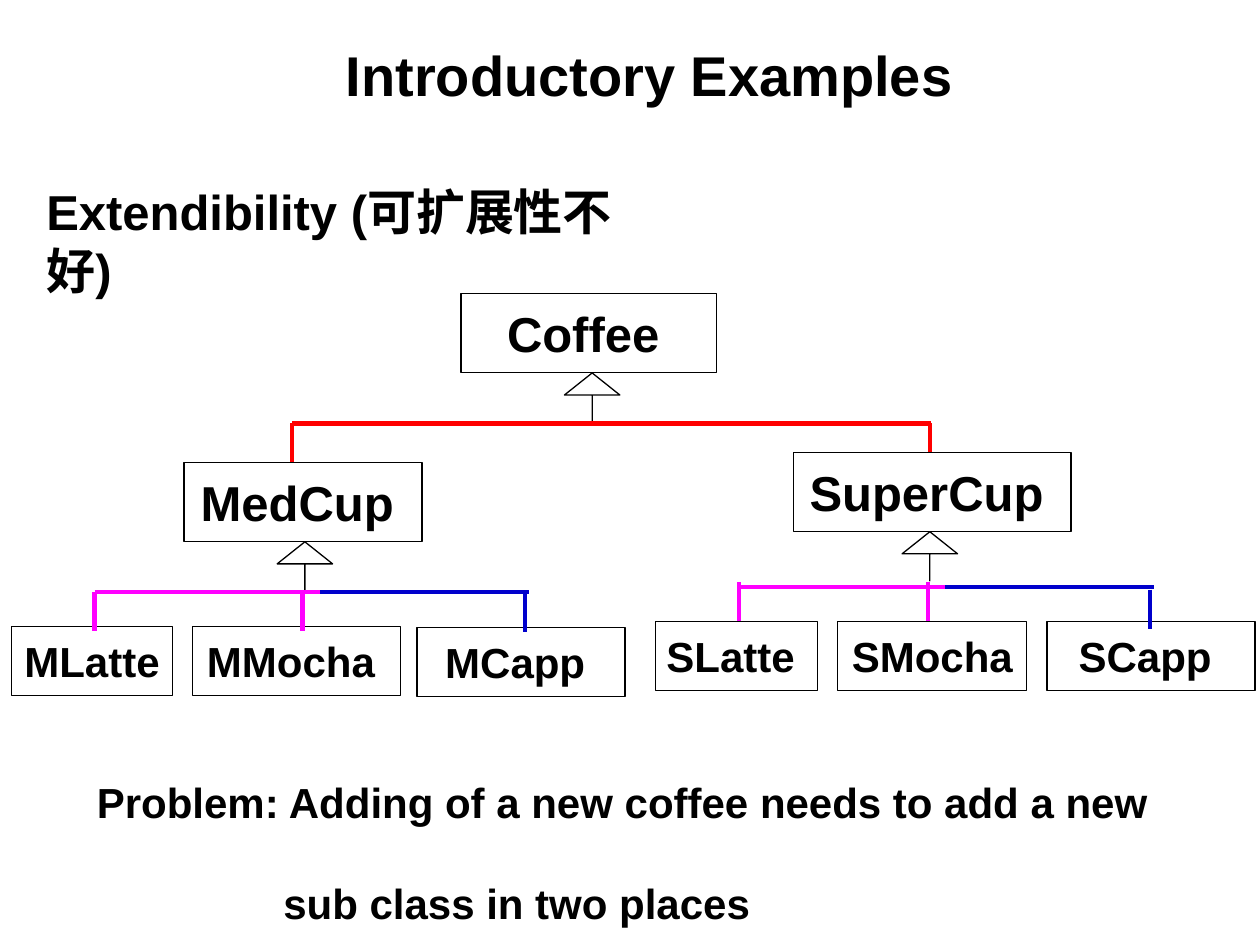
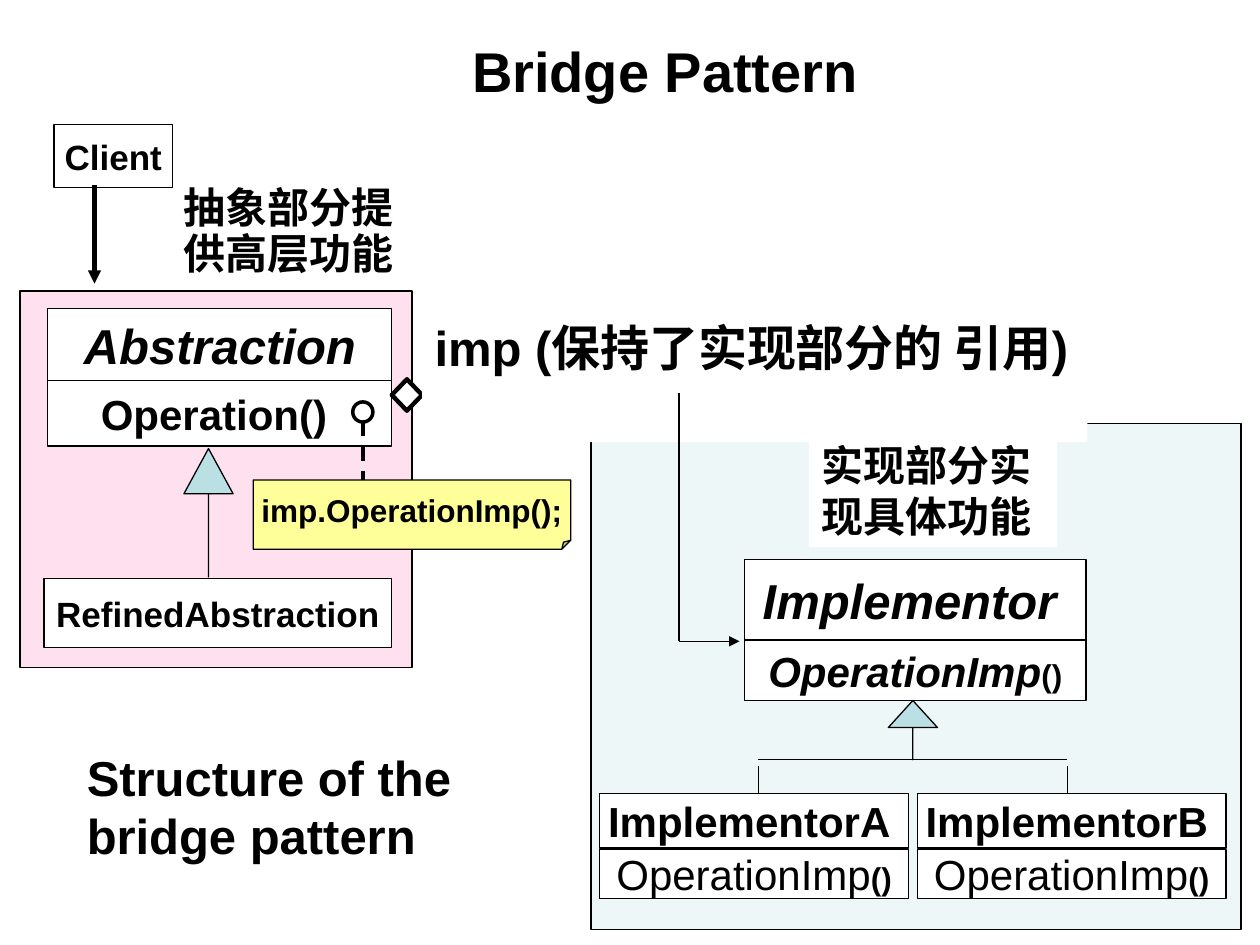
from lxml import etree
from pptx import Presentation
from pptx.dml.color import RGBColor
from pptx.enum.dml import MSO_LINE
from pptx.enum.shapes import MSO_CONNECTOR, MSO_SHAPE
from pptx.enum.text import MSO_ANCHOR, PP_ALIGN
from pptx.oxml.ns import qn
from pptx.util import Inches, Pt

RECT, ARROW, NOTE = MSO_SHAPE.RECTANGLE, MSO_SHAPE.UP_ARROW, MSO_SHAPE.FOLDED_CORNER
DIAMOND, RING = MSO_SHAPE.DIAMOND, MSO_SHAPE.OVAL
LEFT, MID = PP_ALIGN.LEFT, PP_ALIGN.CENTER
TOP, HALF = MSO_ANCHOR.TOP, MSO_ANCHOR.MIDDLE
STRAIGHT, DASH = MSO_CONNECTOR.STRAIGHT, MSO_LINE.DASH


class Theme:
    ink, white = "000000", "FFFFFF"
    red, pink, blue = "FF0000", "FF00FF", "0000CC"
    rose, aqua, cream = "FF99CC", "BBE0E3", "FFFF99"
    latin, han = "Arial", "Noto Sans CJK SC"
    title, head, body, label, code = 32, 28, 24, 20, 18
    thin, bold, thick = 0.75, 2, 2.5


deck = Presentation()
deck.slide_width, deck.slide_height = Inches(10), Inches(7.5)
unit = deck.slide_width / 100  # grid of 100 columns by 75 rows
blank = deck.slide_layouts[6]


def box(page, at, paras=(), kind=RECT, fill=Theme.white, edge=Theme.thin,
        pad=(1, 0.5), align=MID, anchor=HALF, wrap=False, guides=None):
    """Shape or text box (kind None); paras hold runs of (text, size, style)."""
    spot = [round(v * unit) for v in at]
    if kind is None:
        item = page.shapes.add_textbox(*spot)
    else:
        item = page.shapes.add_shape(kind, *spot)
        item.shadow.inherit = False
        item.fill.solid()
        item.fill.fore_color.rgb = RGBColor.from_string(fill)
        if edge:
            item.line.color.rgb = RGBColor.from_string(Theme.ink)
            item.line.width = Pt(edge)
        else:
            item.line.fill.background()
    if guides:
        geom = item._element.spPr.find(qn("a:prstGeom"))
        for old in list(geom):
            geom.remove(old)
        table = etree.SubElement(geom, qn("a:avLst"))
        for name, share in guides.items():
            guide = etree.SubElement(table, qn("a:gd"))
            guide.set("name", name)
            guide.set("fmla", f"val {round(share * 100000)}")
    frame = item.text_frame
    frame.word_wrap, frame.vertical_anchor = wrap, anchor
    frame.margin_left = frame.margin_right = round(pad[0] * unit)
    frame.margin_top = frame.margin_bottom = round(pad[1] * unit)
    for n, runs in enumerate(paras):
        para = frame.add_paragraph() if n else frame.paragraphs[0]
        para.alignment = align
        for text, size, style in runs:
            run = para.add_run()
            run.text = text
            font = run.font
            font.size, font.bold, font.italic = Pt(size), "b" in style, "i" in style
            font.color.rgb = RGBColor.from_string(Theme.ink)
            font.name = Theme.han if max(text) >= "一" else Theme.latin
            east = etree.SubElement(run._r.get_or_add_rPr(), qn("a:ea"))
            east.set("typeface", Theme.han)
    return item


def line(page, x1, y1, x2, y2, color=Theme.ink, width=Theme.thin, tip=False):
    ends = [round(v * unit) for v in (x1, y1, x2, y2)]
    link = page.shapes.add_connector(STRAIGHT, *ends)
    link.line.color.rgb = RGBColor.from_string(color)
    link.line.width = Pt(width)
    if tip:
        stroke = link._element.spPr.find(qn("a:ln"))
        etree.SubElement(stroke, qn("a:tailEnd")).set("type", "triangle")
    etree.SubElement(link._element.spPr, qn("a:effectLst"))
    return link


# Pages and titles
titles = [("Introductory Examples", (17.7, 2.8, 67.7, 6.1)),
          ("Bridge Pattern", (34.3, 2.8, 37, 5.5))]
pages = []
for text, at in titles:
    page = deck.slides.add_slide(blank)
    box(page, at, [[(text, Theme.title, "b")]], kind=None, wrap=True)
    pages.append(page)
tree, bridge = pages
plain = dict(align=LEFT, anchor=TOP, wrap=True)

# Coffee tree: heading and problem
box(tree, (2.7, 13.9, 52, 10.4),
    [[("Extendibility (", Theme.head, "b"), ("可扩展性不好", Theme.head, "b"),
      (")", Theme.head, "b")]], kind=None, **plain)
issue = box(tree, (6.7, 61.1, 85.8, 13),
            [[("Problem: Adding of a new coffee needs to add a new", Theme.body, "b")],
             [("sub class in two places", Theme.body, "b")]], kind=None, **plain)
last = issue.text_frame.paragraphs[1]
last.space_before = Pt(29)
props = last._p.get_or_add_pPr()
props.set("marL", str(round(14.8 * unit)))
props.set("indent", "0")

# Coffee tree: cups, each with the middle of its arrow
cups = [("Coffee", 36.6, 23.3, 20.3, 47), ("MedCup", 14.6, 36.7, 18.9, 24.2),
        ("SuperCup", 63, 35.9, 22, 73.8)]
for name, x, y, w, mid in cups:
    box(tree, (x, y, w, 6.3), [[(name, Theme.head, "b"), (" ", Theme.body, "b")]])
    box(tree, (mid - 2.2, y + 6.3, 4.4, 3.9), kind=ARROW,
        guides={"adj1": 0, "adj2": 0.45})

# Coffee tree: drinks
drinks = [("MLatte", 0.9, 49.7, 12.8), ("MMocha ", 15.3, 49.7, 16.5),
          ("MCapp ", 33.1, 49.8, 16.5), ("SLatte ", 52, 49.3, 12.9),
          ("SMocha", 66.5, 49.3, 15), ("SCapp ", 83.1, 49.3, 16.5)]
for name, x, y, w in drinks:
    box(tree, (x, y, w, 5.5), [[(name, Theme.body, "b")]])

# Coffee tree: bars (left, right, row) and drops (column, top, length)
bars = [(Theme.red, 23.2, 73.9, 33.6), (Theme.pink, 7.5, 25.4, 47),
        (Theme.pink, 58.8, 75, 46.6), (Theme.blue, 25.4, 42, 47),
        (Theme.blue, 75, 91.6, 46.6)]
for color, x1, x2, y in bars:
    line(tree, x1, y, x2, y, color, Theme.thick)
drops = [(Theme.red, 23.2, 33.6, 3.1), (Theme.red, 73.8, 33.6, 2.3),
         (Theme.pink, 7.5, 47, 3.1), (Theme.pink, 24, 47, 3.1),
         (Theme.pink, 58.65, 46.2, 3.1), (Theme.pink, 73.65, 46.2, 3.1),
         (Theme.blue, 41.65, 47.1, 3.1), (Theme.blue, 91.25, 46.8, 3.1)]
for color, x, y, h in drops:
    line(tree, x, y, x, y + h, color, Theme.thick)

# Bridge: tinted panels over the reference line
line(bridge, 31.9, 31.2, 53.9, 31.2)
panels = [((1.6, 23.1, 31.1, 29.9), Theme.rose, 30),
          ((46.9, 33.6, 51.6, 40.2), Theme.aqua, 25)]
for at, fill, share in panels:
    panel = box(bridge, at, fill=fill)
    tint = panel._element.spPr.find(qn("a:solidFill")).find(qn("a:srgbClr"))
    etree.SubElement(tint, qn("a:alpha")).set("val", str(share * 1000))

# Bridge: class boxes
parts = [((3.8, 24.5, 27.3, 5.7), [("Abstraction", Theme.head, "bi")]),
         ((3.8, 30.2, 27.3, 5.2), [("Operation() ", Theme.body, "b")]),
         ((3.5, 45.9, 27.6, 5.5), [("RefinedAbstraction", Theme.label, "b")]),
         ((59.1, 44.4, 27.1, 6.4), [("Implementor", Theme.head, "bi"), (" ", Theme.body, "b")]),
         ((59.1, 50.8, 27.1, 4.8), [("OperationImp", Theme.body, "bi"), ("()", Theme.code, "b")])]
for letter, x in (("A", 47.6), ("B", 72.8)):
    parts += [((x, 63, 24.5, 4.3),
               [("Implementor" + letter, Theme.body, "b"), (" ", Theme.label, "b")]),
              ((x, 67.4, 24.5, 3.9), [("OperationImp", Theme.body, ""), ("()", Theme.code, "b")])]

# Bridge: fork to the two implementors
line(bridge, 60.2, 60.3, 84.7, 60.3)
for x in (60.2, 84.7):
    line(bridge, x, 60.8, x, 64.3)
for at, runs in parts:
    box(bridge, at, [runs], pad=(0, 0))

# Bridge: diamond, reference text and call marker
box(bridge, (31.1, 30.1, 2.4, 2.5), kind=DIAMOND, edge=Theme.thick)
box(bridge, (33.5, 24.7, 52.8, 10.4),
    [[("imp (", Theme.head, "b"), ("保持了实现部分的 引用", Theme.head, "b"),
      (")", Theme.head, "b")]], edge=0, **plain)
line(bridge, 28.8, 33.5, 28.8, 38.5, width=Theme.bold).line.dash_style = DASH
box(bridge, (28, 31.9, 1.6, 1.6), kind=RING, edge=Theme.bold)

# Bridge: client
box(bridge, (4.3, 9.9, 9.4, 5), [[("Client", Theme.label, "b")]])
line(bridge, 7.5, 14.7, 7.5, 22.5, width=Theme.thick, tip=True)

# Bridge: captions
box(bridge, (5.9, 58.8, 31.5, 10.4),
    [[("Structure of the bridge pattern", Theme.head, "b")]], edge=0, **plain)
box(bridge, (64.2, 34.4, 19.7, 9),
    [[(text, Theme.body, "b")] for text in ("实现部分实", "现具体功能")], edge=0, **plain)
high = box(bridge, (14.6, 14.4, 18.9, 8.2),
           [[(text, Theme.body, "b")] for text in ("抽象部分提", "供高层功能")],
           edge=0, pad=(0, 0.5), **plain)
for para in high.text_frame.paragraphs:
    para.line_spacing = 0.9

# Bridge: inheritance arrows, note and reference arrow
for at, tip in (((70.5, 55.6, 3.9, 4.7), 0.55), ((14.6, 35.6, 3.9, 10.2), 0.92)):
    box(bridge, at, kind=ARROW, fill=Theme.aqua, guides={"adj1": 0, "adj2": tip})
box(bridge, (20.1, 38.1, 25.2, 5.5), [[("imp.OperationImp();", Theme.code, "b")]],
    kind=NOTE, fill=Theme.cream, guides={"adj": 0.13})
line(bridge, 53.9, 31.2, 53.9, 50.9)
line(bridge, 53.9, 50.9, 58.7, 50.9, tip=True)

deck.save("out.pptx")
